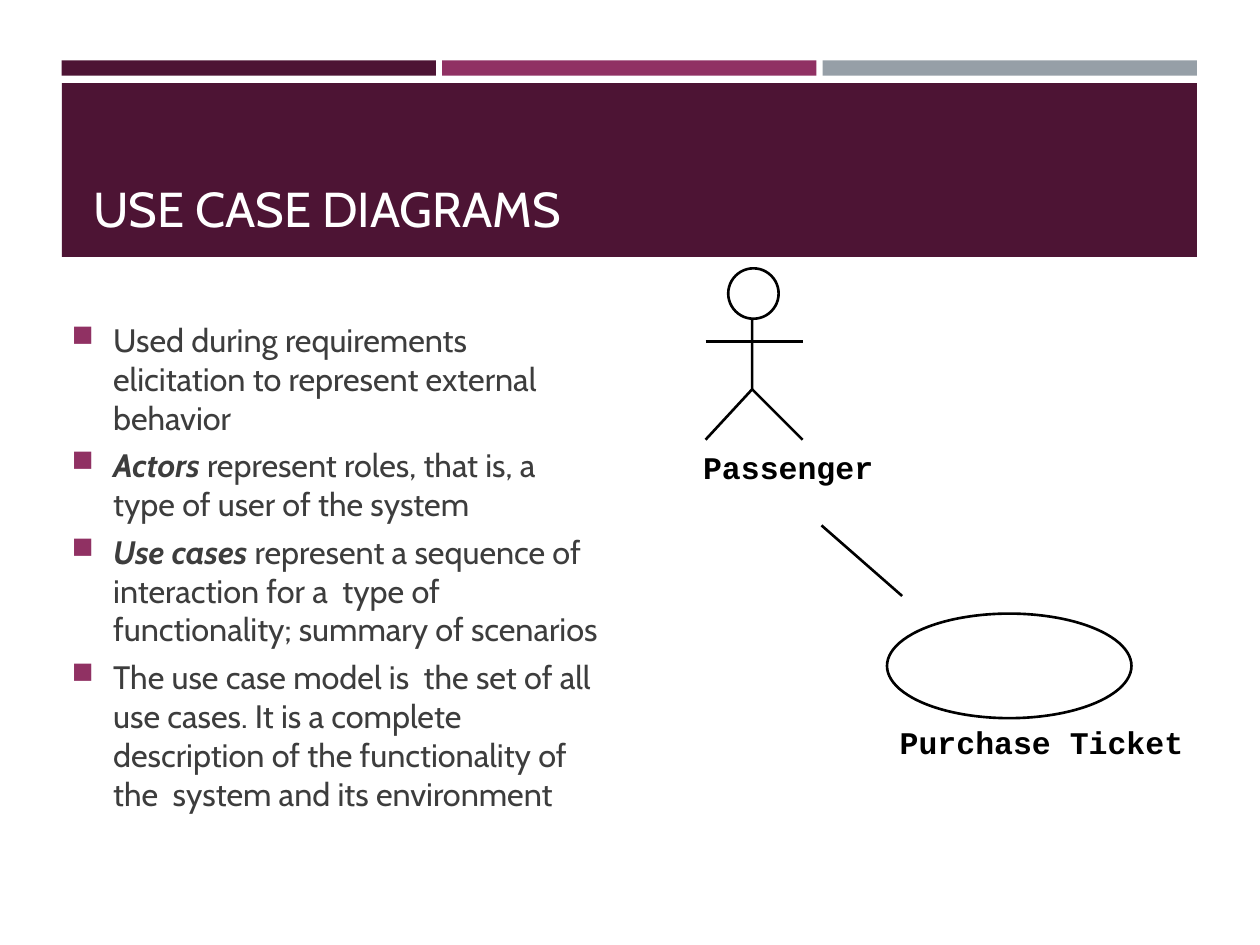
"""Build the use case diagrams slide."""
from lxml import etree
from pptx import Presentation
from pptx.dml.color import RGBColor
from pptx.enum.shapes import MSO_CONNECTOR, MSO_SHAPE
from pptx.enum.text import MSO_ANCHOR
from pptx.oxml.ns import qn
from pptx.util import Inches, Pt

RECT, OVAL = MSO_SHAPE.RECTANGLE, MSO_SHAPE.OVAL
STRAIGHT = MSO_CONNECTOR.STRAIGHT
TOP, MIDDLE, BOTTOM = MSO_ANCHOR.TOP, MSO_ANCHOR.MIDDLE, MSO_ANCHOR.BOTTOM

PLUM, BERRY, GREY = "4D1434", "903163", "969FA7"
BLACK, WHITE = "000000", "FFFFFF"
TITLE = {"name": "Cabin", "size": Pt(28), "color": WHITE}
BODY = {"name": "Cabin", "size": Pt(18.5), "color": "3D3D3D"}
TERM = {**BODY, "bold": True, "italic": True}
LABEL = {"name": "Courier New", "size": Pt(18), "bold": True, "color": BLACK}

BULLETS = [
    [("Used during requirements elicitation to represent external behavior", BODY)],
    [("Actors", TERM), (" represent roles, that is, a type of user of the system", BODY)],
    [("Use cases", TERM), (" represent a sequence of interaction for a  type of "
                           "functionality; summary of scenarios", BODY)],
    [("The use case model is  the set of all use cases. It is a complete description "
      "of the functionality of the  system and its environment", BODY)],
]


def rgb(value):
    return RGBColor.from_string(value)


class SlideBuilder:
    def __init__(self, s, line_color=BLACK, line_width=1.5):
        self.s = s
        self.line_color = line_color
        self.line_width = line_width

    def outline(self, sp):
        sp.line.color.rgb = rgb(self.line_color)
        sp.line.width = Pt(self.line_width)

    def shape(self, kind, box, fill=None, outlined=False):
        sp = self.s.shapes.add_shape(kind, *map(Inches, box))
        sp.shadow.inherit = False
        if fill:
            sp.fill.solid()
            sp.fill.fore_color.rgb = rgb(fill)
        else:
            sp.fill.background()
        if outlined:
            self.outline(sp)
        else:
            sp.line.fill.background()
        return sp

    def line(self, start, end):
        cx = self.s.shapes.add_connector(STRAIGHT, *map(Inches, (*start, *end)))
        self.outline(cx)
        etree.SubElement(cx._element.spPr, qn("a:effectLst"))
        return cx

    def polyline(self, points):
        first, *rest = [tuple(map(Inches, point)) for point in points]
        builder = self.s.shapes.build_freeform(*first)
        builder.add_line_segments(rest, close=False)
        sp = builder.convert_to_shape()
        sp.shadow.inherit = False
        sp.fill.background()
        self.outline(sp)
        return sp

    def run(self, p, text, style):
        r = p.add_run()
        r.text = text
        for key, value in style.items():
            if key == "color":
                r.font.color.rgb = rgb(value)
            else:
                setattr(r.font, key, value)

    def bullet(self, p, color=BERRY, indent=0.33):
        p.space_before = Pt(5)
        pPr = p._p.get_or_add_pPr()
        pPr.set("marL", str(Inches(indent)))
        pPr.set("indent", str(-Inches(indent)))
        bu_clr = etree.SubElement(pPr, qn("a:buClr"))
        etree.SubElement(bu_clr, qn("a:srgbClr"), val=color)
        etree.SubElement(pPr, qn("a:buSzPct"), val="92000")
        etree.SubElement(pPr, qn("a:buChar"), char="■")

    def text(self, box, paragraphs, anchor=TOP, bulleted=False, wrap=True, inset=None):
        sp = self.s.shapes.add_textbox(*map(Inches, box))
        tf = sp.text_frame
        tf.word_wrap = wrap
        tf.vertical_anchor = anchor
        if inset is not None:
            for side in ("left", "top", "right", "bottom"):
                setattr(tf, f"margin_{side}", Inches(inset))
        for i, runs in enumerate(paragraphs):
            p = tf.add_paragraph() if i else tf.paragraphs[0]
            if bulleted:
                self.bullet(p)
            for text, style in runs:
                self.run(p, text, style)
        return sp

    def label(self, box, text):
        return self.text(box, [[(text, LABEL)]], wrap=False, inset=0)

    def actor(self, left, top, name):
        center, right = left + 0.37, left + 0.77
        hip, foot, arms = top + 0.96, top + 1.36, top + 0.58
        self.polyline([(center, top + 0.28), (center, hip), (left, foot)])
        self.line((center, hip), (right, foot))
        self.line((left, arms), (right, arms))
        self.shape(OVAL, (left + 0.18, top, 0.4, 0.4), WHITE, outlined=True)
        self.label((left - 0.02, top + 1.43, 1.35, 0.3), name)

    def use_case(self, left, top, name):
        self.shape(OVAL, (left, top, 1.94, 0.83), outlined=True)
        self.label((left + 0.1, top + 0.87, 2.25, 0.3), name)


def main():
    prs = Presentation()
    prs.slide_width, prs.slide_height = Inches(10), Inches(7.5)
    slide = SlideBuilder(prs.slides.add_slide(prs.slide_layouts[6]))

    left, width, gap = 0.49, 9.01, 0.05
    bar = (width - 2 * gap) / 3
    for i, color in enumerate((PLUM, BERRY, GREY)):
        slide.shape(RECT, (left + i * (bar + gap), 0.48, bar, 0.12), color)
    slide.shape(RECT, (left, 0.66, width, 1.38), PLUM)

    slide.text((0.64, 0.75, 8.74, 1.18), [[("USE CASE DIAGRAMS", TITLE)]], BOTTOM)
    slide.text((0.47, 2.13, 4.41, 4.73), BULLETS, MIDDLE, bulleted=True)

    slide.actor(5.6, 2.13, "Passenger")
    slide.use_case(7.04, 4.87, "Purchase Ticket")
    slide.line((6.52, 4.17), (7.16, 4.73))

    prs.save("out.pptx")


if __name__ == "__main__":
    main()
